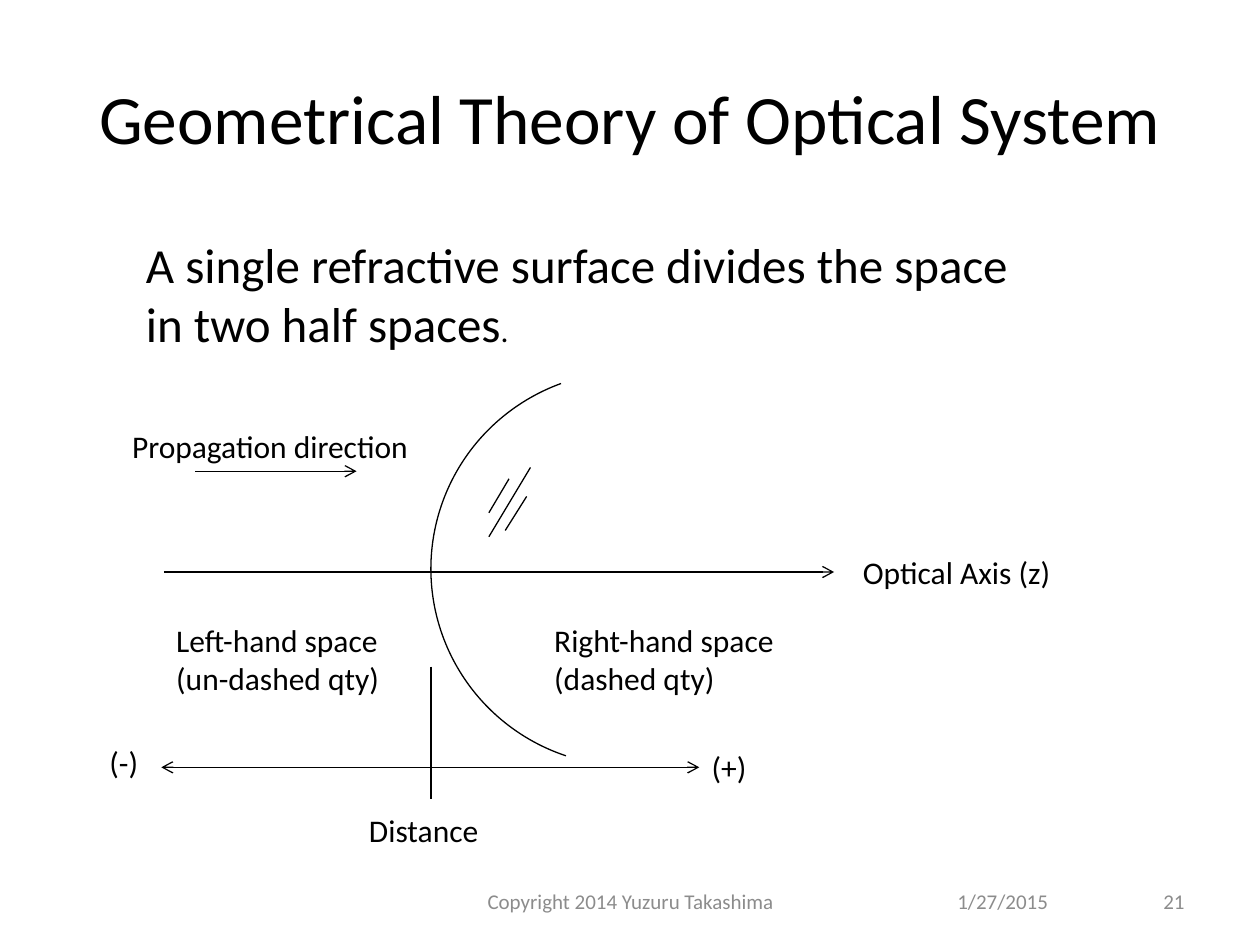
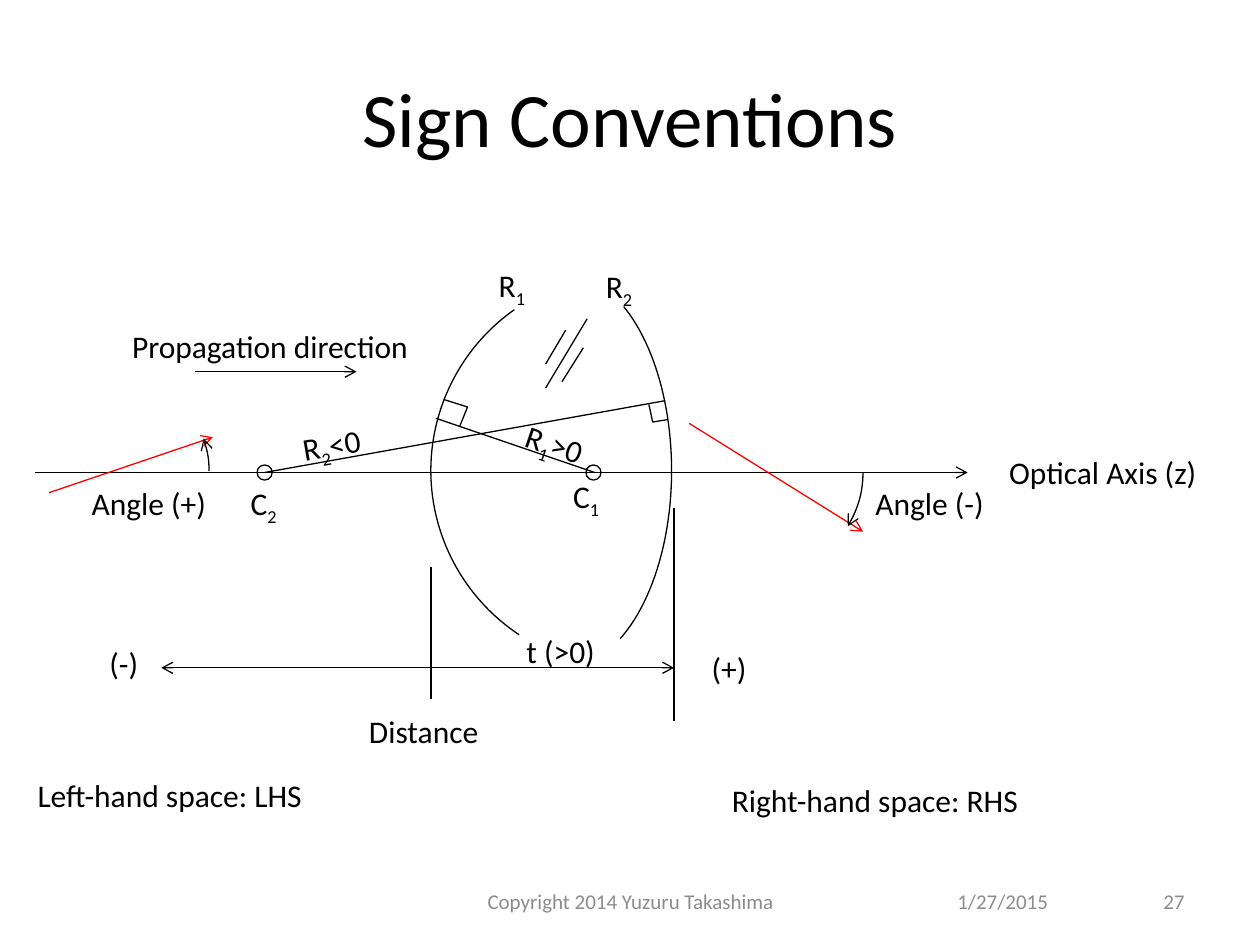
import pptx
import pptx.dml.color
import pptx.enum.shapes
import pptx.enum.text
import pptx.oxml.ns
import pptx.util
from lxml import etree

Inches = pptx.util.Inches
Pt = pptx.util.Pt
MSO_SHAPE = pptx.enum.shapes.MSO_SHAPE
PP_ALIGN = pptx.enum.text.PP_ALIGN
hex_color = pptx.dml.color.RGBColor.from_string
qn = pptx.oxml.ns.qn

FONT = "Calibri"
BLACK, GRAY, RED = "000000", "8C8C8C", "FF0000"


def add_text(slide, box, paragraphs, size=18, color=BLACK, align=PP_ALIGN.LEFT, framed=False):
    """Add runs grouped by paragraph; a run starting with "_" is a subscript.

    A framed text wraps in its box and is centred vertically; otherwise the box fits its text.
    """
    shape = slide.shapes.add_textbox(*map(Inches, box))
    frame = shape.text_frame
    frame.word_wrap = framed
    if framed:
        frame.vertical_anchor = pptx.enum.text.MSO_ANCHOR.MIDDLE
    else:
        frame.auto_size = pptx.enum.text.MSO_AUTO_SIZE.SHAPE_TO_FIT_TEXT
    for index, runs in enumerate(paragraphs):
        paragraph = frame.add_paragraph() if index else frame.paragraphs[0]
        paragraph.alignment = align
        for text in runs:
            run = paragraph.add_run()
            run.text = text.removeprefix("_")
            run.font.name = FONT
            run.font.size = Pt(size)
            run.font.color.rgb = hex_color(color)
            if text.startswith("_"):
                run._r.get_or_add_rPr().set("baseline", "-25000")
    return shape


def style_outline(shape, color=BLACK, arrow=False):
    """Give a connector or unfilled shape a thin line, without shadow."""
    if hasattr(shape, "fill"):
        shape.fill.background()
    shape.line.color.rgb = hex_color(color)
    shape.line.width = Pt(0.75)
    if arrow:
        etree.SubElement(shape.line._get_or_add_ln(), qn("a:tailEnd"), type="arrow")
    etree.SubElement(shape._element.spPr, qn("a:effectLst"))


presentation = pptx.Presentation()
presentation.slide_width = Inches(10)
presentation.slide_height = Inches(7.5)
surface_slide, sign_slide = [
    presentation.slides.add_slide(presentation.slide_layouts[6]) for _ in range(2)
]

# Per slide: title, title size, page number, axis height, axis start and end,
# axis label left, end of the positive distance, hatch corner
layouts = [
    (surface_slide, "Geometrical Theory of Optical System", 39.6, "21",
     4.54, 1.3, 6.62, 6.75, 5.55, (3.88, 3.71)),
    (sign_slide, "Sign Conventions", 44, "27",
     3.75, 0.28, 7.68, 7.91, 5.35, (4.33, 2.53)),
]

lines = []
for (slide, title, title_size, page, axis, axis_start, axis_end,
     axis_label, distance_end, (hatch_x, hatch_y)) in layouts:
    add_text(slide, (0.5, 0.3, 9, 1.25), [[title]], title_size, BLACK, PP_ALIGN.CENTER, True)
    for left, width, text, align in [
        (7.5, 2.33, "1/27/2015", PP_ALIGN.LEFT),
        (3.42, 3.17, "Copyright 2014 Yuzuru Takashima", PP_ALIGN.CENTER),
        (7.17, 2.33, page, PP_ALIGN.RIGHT),
    ]:
        add_text(slide, (left, 6.95, width, 0.4), [[text]], 12, GRAY, align, True)

    for left, offset, width, text in [
        (axis_label, -0.2, 1.88, "Optical Axis (z)"),
        (5.55, 1.35, 0.52, "(+)"),
        (0.77, 1.31, 0.45, "(-)"),
        (2.83, 1.85, 1.18, "Distance"),
        (0.95, -1.2, 2.66, "Propagation direction"),
    ]:
        add_text(slide, (left, axis + offset, width, 0.4), [[text]])

    distance = axis + 1.55
    lines += [
        (slide, axis_start, axis, axis_end, axis, BLACK, True),
        (slide, 3.42, axis + 0.75, 3.42, axis + 1.8, BLACK, False),
        (slide, 3.42, distance, distance_end, distance, BLACK, True),
        (slide, 3.42, distance, 1.28, distance, BLACK, True),
        (slide, 1.55, axis - 0.8, 2.83, axis - 0.8, BLACK, True),
    ]
    for x1, y1, x2, y2 in [(0.16, 0.09, 0, 0.36), (0.33, 0, 0, 0.55), (0.3, 0.23, 0.13, 0.5)]:
        lines.append((slide, hatch_x + x1, hatch_y + y1, hatch_x + x2, hatch_y + y2, BLACK, False))

# Single refractive surface
for left, width, first, second in [
    (1.3, 2.01, "Left-hand space", "(un-dashed qty)"),
    (4.3, 2.18, "Right-hand space", "(dashed qty)"),
]:
    add_text(surface_slide, (left, 4.88, width, 0.71), [[first], [second]])
statement = add_text(
    surface_slide, (1.06, 1.81, 7.85, 1.35),
    [["A single refractive surface divides the space"], ["in two half spaces", "."]], 28)
statement.text_frame.paragraphs[-1].runs[-1].font.size = Pt(18)

# Lens with radii, thickness and ray angles
lines += [
    (sign_slide, 4.72, 3.75, 3.46, 3.32, BLACK, False),
    (sign_slide, 5.28, 3.18, 2.1, 3.75, BLACK, False),
    (sign_slide, 5.35, 4.03, 5.35, 5.72, BLACK, False),
    (sign_slide, 5.47, 3.36, 6.85, 4.22, RED, True),
    (sign_slide, 0.39, 3.91, 1.69, 3.47, RED, True),
]
for slide, x1, y1, x2, y2, color, arrow in lines:
    connector = slide.shapes.add_connector(
        pptx.enum.shapes.MSO_CONNECTOR.STRAIGHT, *map(Inches, (x1, y1, x2, y2)))
    style_outline(connector, color, arrow)

# Arcs: box, start and end in degrees, flip attribute, arrow
for slide, box, start, end, flip, arrow in [
    (surface_slide, (3.42, 2.95, 3.14, 3.13), 108.55, 249.94, None, False),
    (sign_slide, (3.42, 2.17, 3.14, 3.13), 123.73, 234.61, None, False),
    (sign_slide, (3.62, 2.17, 1.71, 3.13), 108.55, 249.94, "flipH", False),
    (sign_slide, (5.39, 2.96, 1.46, 1.57), 0.34, 35.41, None, True),
    (sign_slide, (0.2, 2.96, 1.46, 1.57), 0.34, 21.03, "flipV", True),
]:
    arc = slide.shapes.add_shape(MSO_SHAPE.ARC, *map(Inches, box))
    # An angle is stored in 60000ths of a degree, an adjustment in 100000ths
    arc.adjustments[0] = start * 0.6
    arc.adjustments[1] = end * 0.6
    if flip:
        arc._element.spPr.xfrm.set(flip, "1")
    style_outline(arc, arrow=arrow)

for center_left in (2.04, 4.65):
    center_mark = sign_slide.shapes.add_shape(
        MSO_SHAPE.OVAL, *map(Inches, (center_left, 3.69, 0.12, 0.12)))
    style_outline(center_mark)

for corner in [
    [(5.15, 3.21), (5.18, 3.35), (5.3, 3.33)],
    [(3.52, 3.17), (3.71, 3.23), (3.65, 3.38)],
]:
    points = [(Inches(x), Inches(y)) for x, y in corner]
    builder = sign_slide.shapes.build_freeform(*points[0])
    builder.add_line_segments(points[1:], close=False)
    style_outline(builder.convert_to_shape())

for left, top, width, rotation, runs in [
    (3.86, 2.06, 0.48, 0, ["R", "_1"]),
    (4.71, 2.07, 0.48, 0, ["R", "_2"]),
    (4.07, 3.34, 0.76, 19, ["R", "_1", ">0"]),
    (2.3, 3.32, 0.76, 350.1, ["R", "_2", "<0"]),
    (4.08, 4.97, 0.8, 0, ["t (>0)"]),
    (4.45, 3.74, 0.48, 0, ["C", "_1"]),
    (1.89, 3.79, 0.48, 0, ["C", "_2"]),
    (0.2, 6.11, 2.64, 0, ["Left-hand space: LHS"]),
    (5.71, 6.15, 2.85, 0, ["Right-hand space: RHS"]),
    (6.85, 3.79, 1.17, 0, ["Angle (-)"]),
    (0.63, 3.79, 1.23, 0, ["Angle (+)"]),
]:
    label = add_text(sign_slide, (left, top, width, 0.4), [runs])
    label.rotation = rotation

presentation.save("out.pptx")
